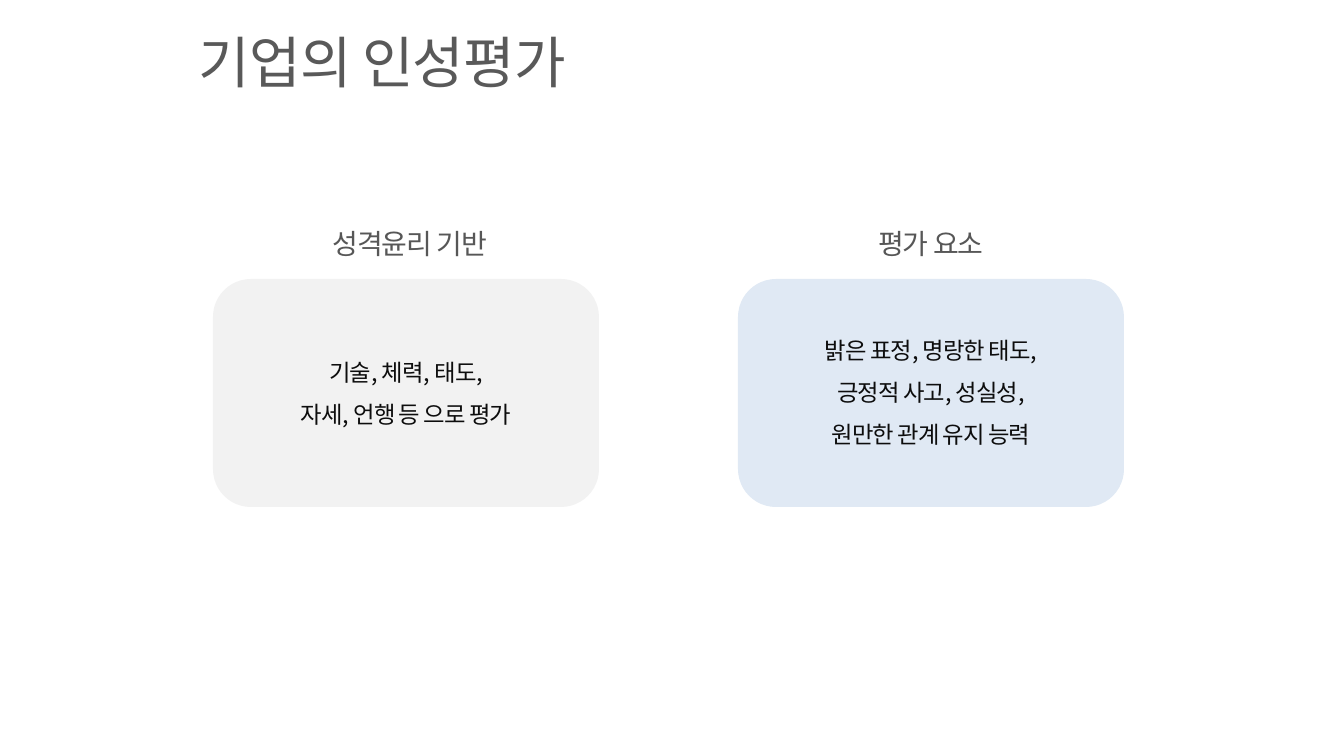
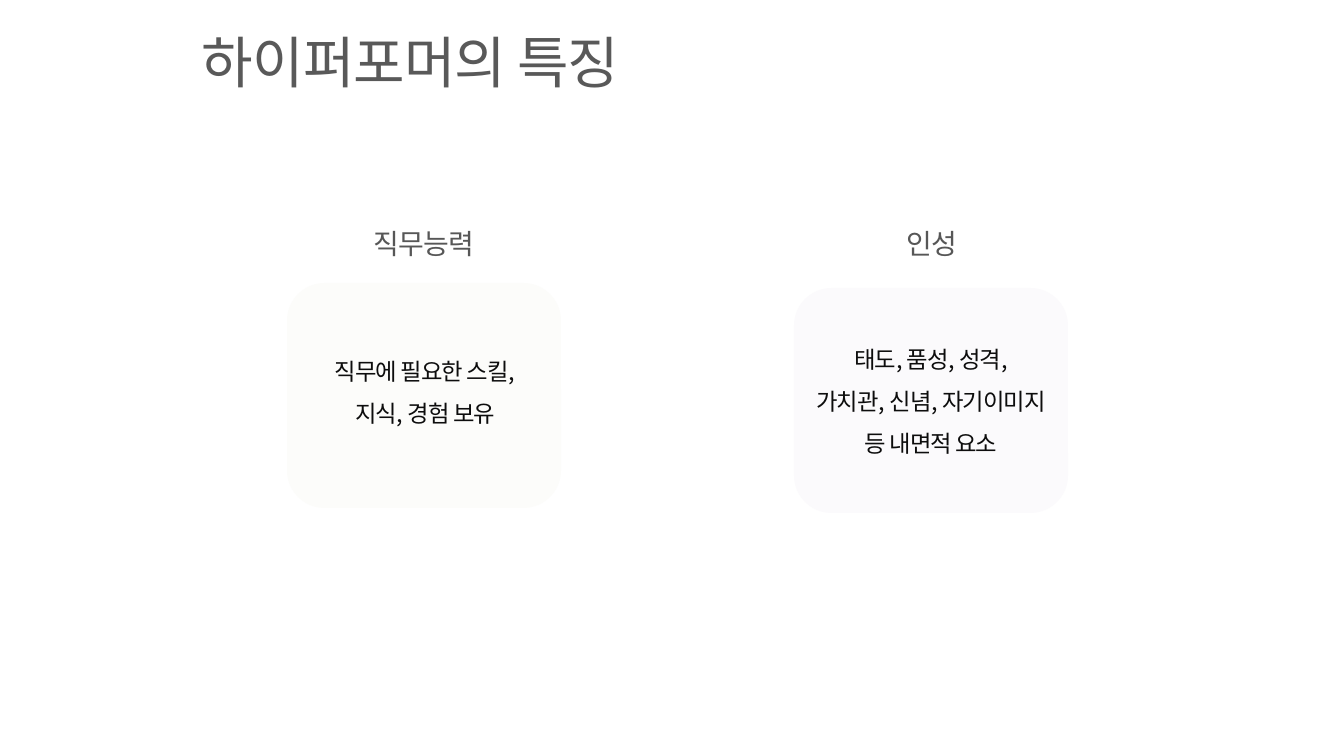
import pptx
import pptx.util
import pptx.dml.color
import pptx.enum.shapes
import pptx.enum.text
import lxml.etree
import pptx.oxml.ns

RGBColor = pptx.dml.color.RGBColor
ALIGN = pptx.enum.text.PP_ALIGN
ANCHOR = pptx.enum.text.MSO_ANCHOR

# Shared style
SCALE = 914400 / 67.2
FONT = "Noto Sans CJK KR"
WHITE = RGBColor(0xFF, 0xFF, 0xFF)
TITLE_GRAY = RGBColor(0x59, 0x59, 0x59)
HEADING_GRAY = RGBColor(0x57, 0x57, 0x57)
BODY_BLACK = RGBColor(0x0D, 0x0D, 0x0D)
CARD_GRAY = RGBColor(0xF2, 0xF2, 0xF2)
CARD_BLUE = RGBColor(0xE0, 0xE9, 0xF4)
CARD_IVORY = RGBColor(0xFC, 0xFC, 0xFA)
CARD_LILAC = RGBColor(0xFB, 0xFA, 0xFC)


def px(*lengths):
    return [round(length * SCALE) for length in lengths]


def add_text(page, place, lines, size, color, spacing, align=ALIGN.CENTER,
             anchor=ANCHOR.TOP):
    frame = page.shapes.add_textbox(*px(*place)).text_frame
    frame.margin_left = frame.margin_right = 0
    frame.margin_top = frame.margin_bottom = 0
    frame.word_wrap = True
    frame.vertical_anchor = anchor
    frame.text = "\n".join(lines)
    for para in frame.paragraphs:
        para.alignment = align
        para.line_spacing = spacing
        para.font.size = pptx.util.Pt(size)
        para.font.color.rgb = color
        para.font.name = FONT
        # Korean typeface and tight letter spacing
        properties = para.font._element
        properties.set("spc", "-100")
        east_asian = lxml.etree.SubElement(properties, pptx.oxml.ns.qn("a:ea"))
        east_asian.set("typeface", FONT)


# Each card: place, fill, heading left, heading, body place, body lines
pages = [
    ("기업의 인성평가", (199, 21, 512, 80), [
        ((213, 279, 386, 228), CARD_GRAY, 310, "성격윤리 기반",
         (261, 344, 290, 97), ["기술, 체력, 태도,", "자세, 언행 등 으로 평가"]),
        ((738, 279, 386, 228), CARD_BLUE, 831, "평가 요소",
         (787, 322, 288, 148),
         ["밝은 표정, 명랑한 태도,", "긍정적 사고, 성실성,", "원만한 관계 유지 능력"]),
    ]),
    ("하이퍼포머의 특징", (202, 21, 677, 80), [
        ((287, 283, 274, 225), CARD_IVORY, 324, "직무능력",
         (280, 343, 290, 97), ["직무에 필요한 스킬,", "지식, 경험 보유"]),
        ((794, 288, 274, 225), CARD_LILAC, 832, "인성",
         (787, 331, 288, 148),
         ["태도, 품성, 성격,", "가치관, 신념, 자기이미지", "등 내면적 요소"]),
    ]),
]

deck = pptx.Presentation()
deck.slide_width, deck.slide_height = px(1344, 756)

for title, title_place, cards in pages:
    page = deck.slides.add_slide(deck.slide_layouts[6])
    page.background.fill.solid()
    page.background.fill.fore_color.rgb = WHITE

    # Cards with heading and body
    for place, fill, heading_left, heading, body_place, body in cards:
        card = page.shapes.add_shape(
            pptx.enum.shapes.MSO_SHAPE.ROUNDED_RECTANGLE, *px(*place))
        card.shadow.inherit = False
        card.fill.solid()
        card.fill.fore_color.rgb = fill
        card.line.fill.background()
        add_text(page, (heading_left, 234, 200, 26), [heading], 30,
                 HEADING_GRAY, pptx.util.Pt(27.5))
        add_text(page, body_place, body, 25, BODY_BLACK, 1.5)

    # Title
    add_text(page, title_place, [title], 60, TITLE_GRAY, 1.0,
             ALIGN.LEFT, ANCHOR.MIDDLE)

deck.save("out.pptx")
